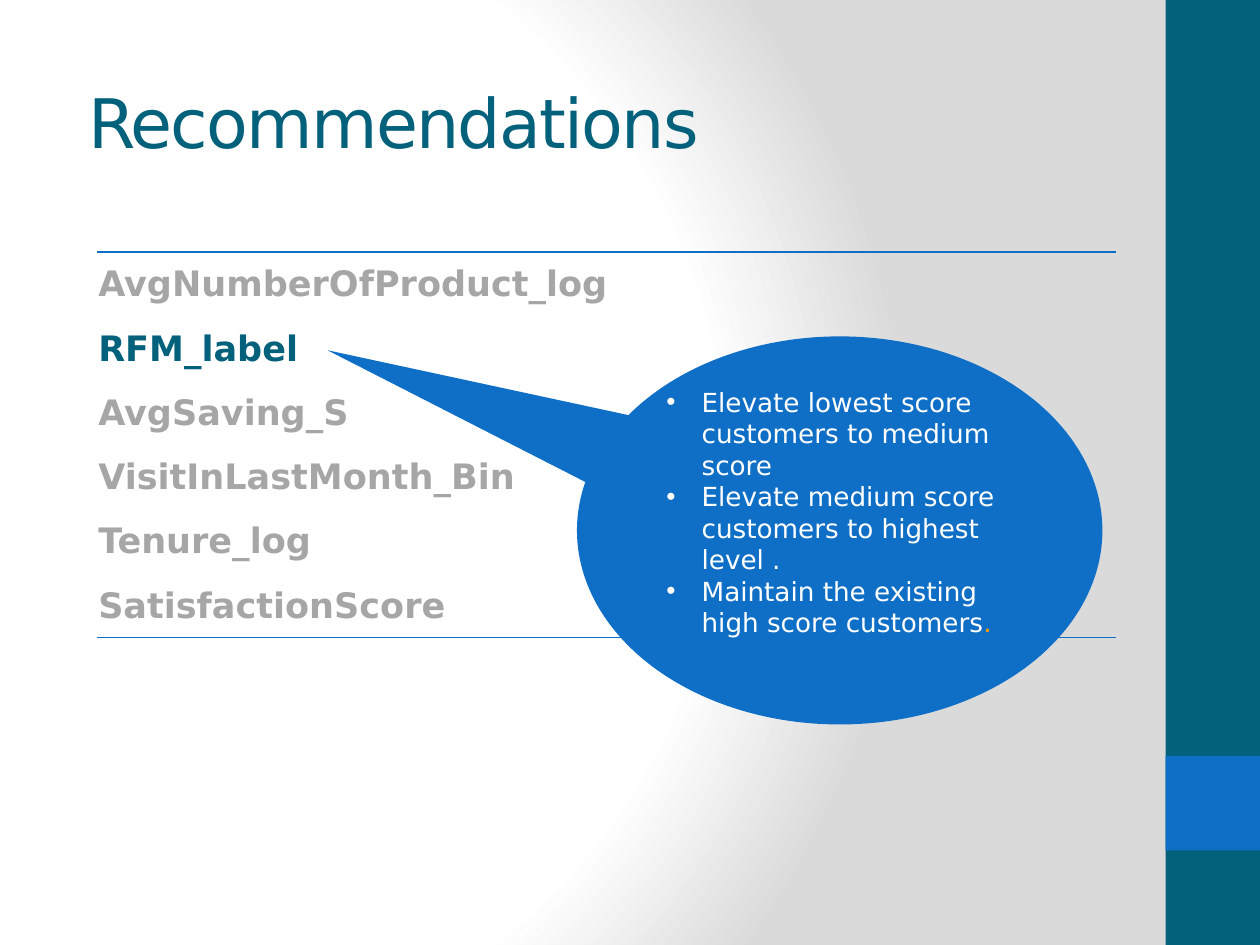
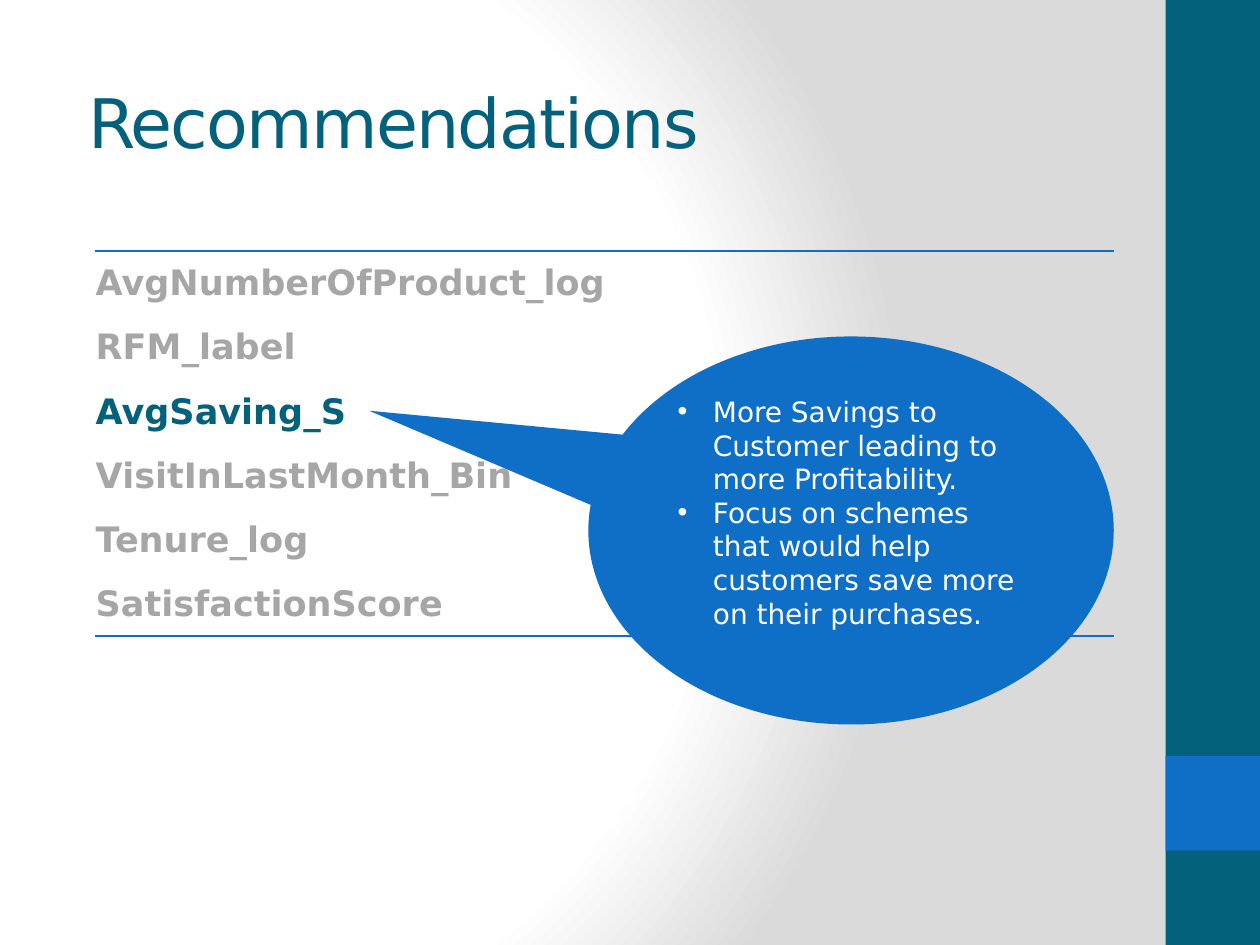
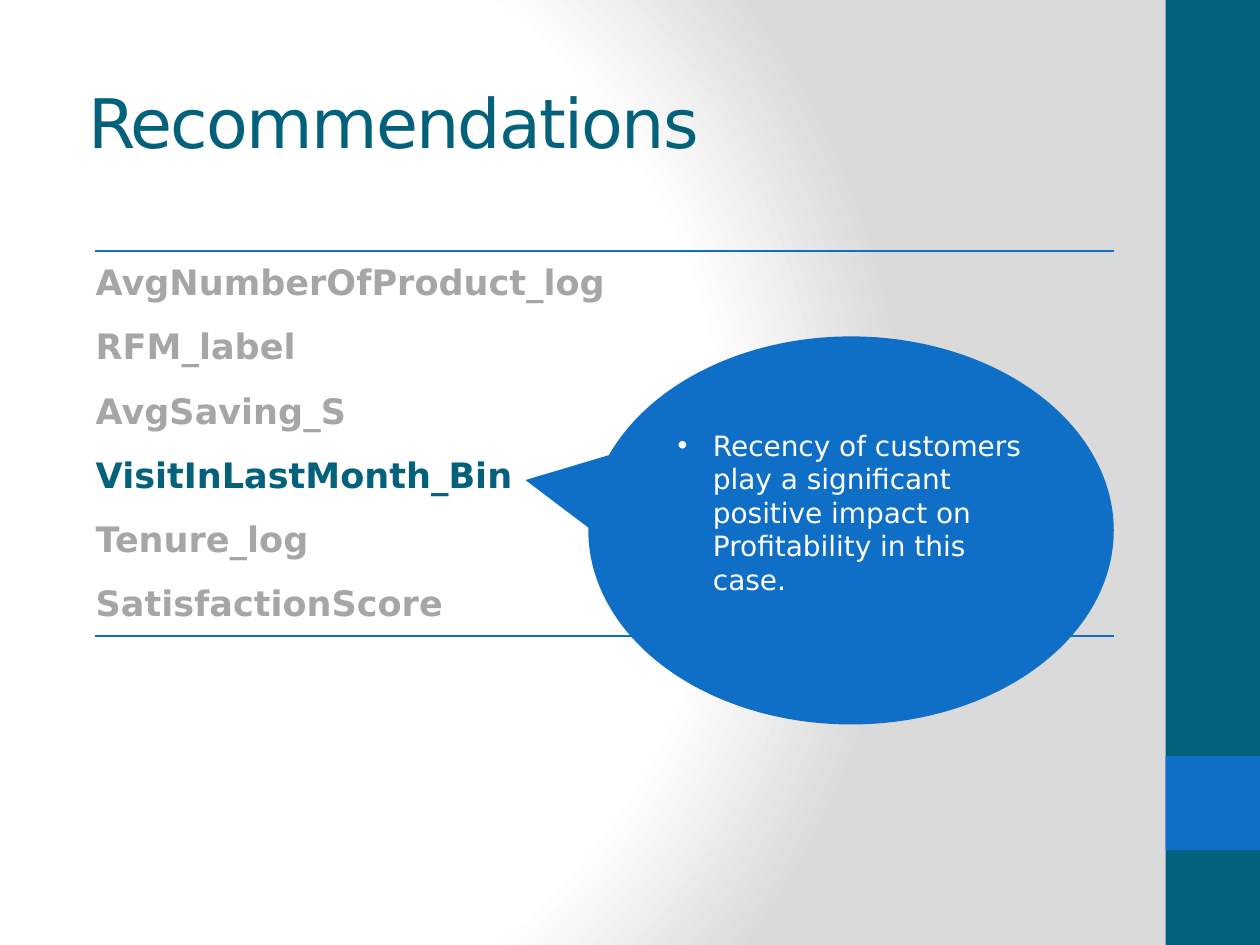
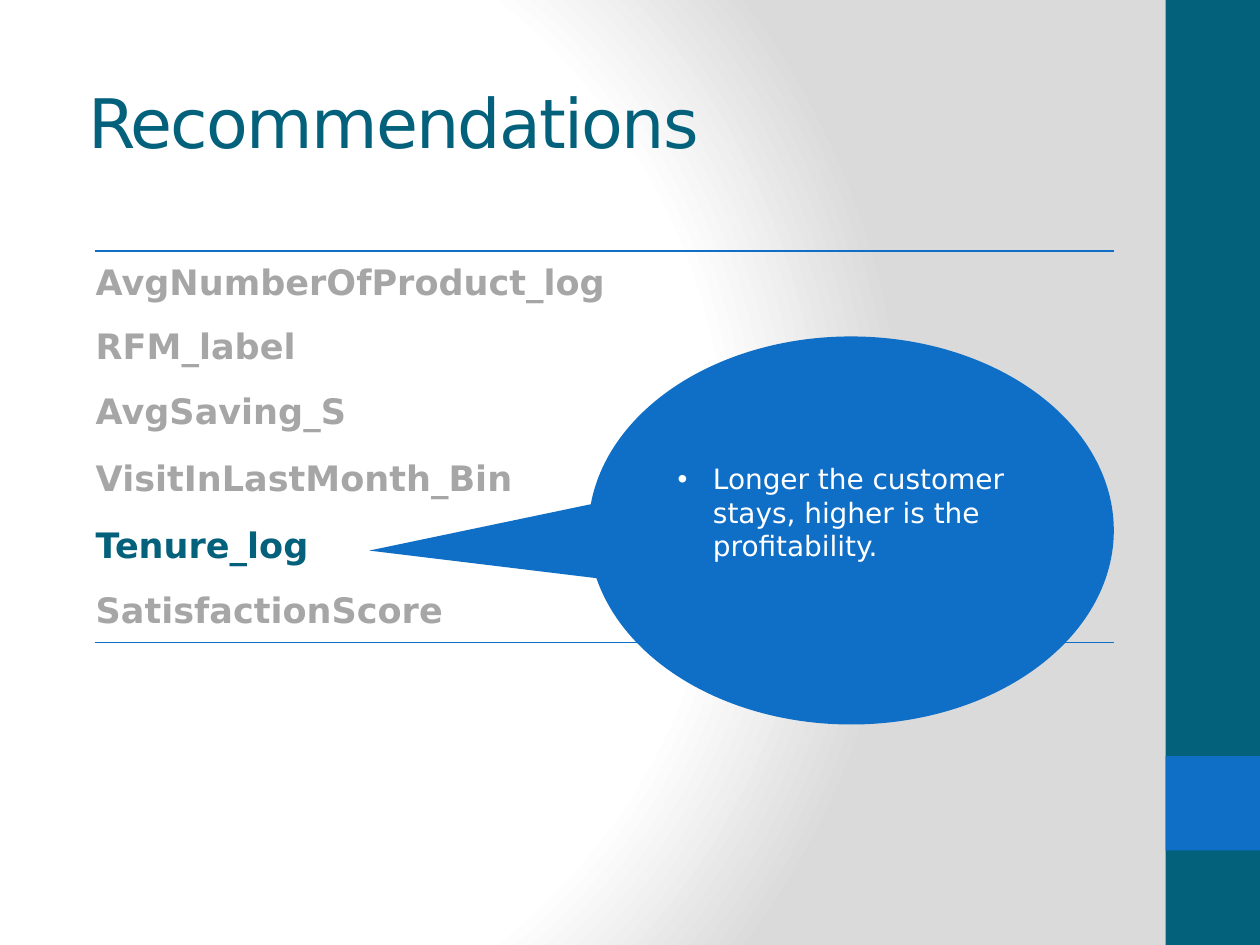
from dataclasses import dataclass

from pptx import Presentation
from pptx.dml.color import RGBColor
from pptx.enum.shapes import MSO_SHAPE
from pptx.enum.text import MSO_ANCHOR, PP_ALIGN
from pptx.oxml import parse_xml
from pptx.oxml.ns import nsdecls, qn
from pptx.util import Inches, Pt

# Content
TITLE = "Recommendations"
FACTORS = [
    "AvgNumberOfProduct_log",
    "RFM_label",
    "AvgSaving_S",
    "VisitInLastMonth_Bin",
    "Tenure_log",
    "SatisfactionScore",
]
# A bullet is a list of (text, colour name) runs; tip is where the callout points
RECOMMENDATIONS = [
    {
        "factor": "RFM_label",
        "bullets": [
            [("Elevate lowest score customers to medium score", "white")],
            [("Elevate medium score customers to highest level .", "white")],
            [("Maintain the existing high score customers", "white"), (".", "orange")],
        ],
        "size": 15, "table_at": (0.77, 2), "callout_left": 4.58, "tip": (2.6, 2.78),
    },
    {
        "factor": "AvgSaving_S",
        "bullets": [
            [("More Savings to Customer leading to more Profitability.", "white")],
            [("Focus on schemes that would help customers save more on their purchases.", "white")],
        ],
        "tip": (2.93, 3.26),
    },
    {
        "factor": "VisitInLastMonth_Bin",
        "bullets": [
            [("Recency of customers play a significant positive impact on "
              "Profitability in this case.", "white")],
        ],
        "tip": (4.17, 3.81),
    },
    {
        "factor": "Tenure_log",
        "bullets": [
            [("Longer the customer stays, higher is the profitability.", "white")],
        ],
        "tip": (2.93, 4.37), "row_heights": {"VisitInLastMonth_Bin": 0.56},
    },
]
DEFAULTS = {"size": 16, "table_at": (0.75, 1.99), "callout_left": 4.67, "row_heights": {}}


@dataclass(frozen=True)
class Theme:
    font: str = "DejaVu Sans"
    teal: str = "04617B"
    blue: str = "0F6FC6"
    gray: str = "A6A6A6"
    white: str = "FFFFFF"
    shade: str = "DADADA"
    orange: str = "FF9900"
    title_size: int = 39
    factor_size: int = 20

    def color(self, name):
        return RGBColor.from_string(getattr(self, name))


THEME = Theme()
SLIDE_WIDTH, SLIDE_HEIGHT = 10, 7.5
BAND_WIDTH = 0.75
COLUMN_WIDTHS = (6.89, 1.2)
ROW_HEIGHT = 0.51
CALLOUT_TOP, CALLOUT_WIDTH, CALLOUT_HEIGHT = 2.67, 4.17, 3.08
BULLET_INDENT = 0.28


def style_font(font, size, color):
    font.name = THEME.font
    font.size = Pt(size)
    font.color.rgb = THEME.color(color)


def set_background(master):
    """Give every slide the circular white to grey gradient."""
    stops = "".join(
        f'<a:gs pos="{percent * 1000}"><a:srgbClr val="{color}"/></a:gs>'
        for percent, color in ((0, THEME.white), (75, THEME.white), (100, THEME.shade))
    )
    common = master.element.find(qn("p:cSld"))
    for background in common.findall(qn("p:bg")):
        common.remove(background)
    common.insert(0, parse_xml(
        f'<p:bg {nsdecls("p", "a")}><p:bgPr><a:gradFill rotWithShape="1">'
        f'<a:gsLst>{stops}</a:gsLst><a:path path="circle">'
        '<a:fillToRect l="20000" t="50000" r="100000" b="50000"/></a:path>'
        '</a:gradFill><a:effectLst/></p:bgPr></p:bg>'
    ))


def add_filled_shape(slide, kind, left, top, width, height, color):
    shape = slide.shapes.add_shape(
        kind, Inches(left), Inches(top), Inches(width), Inches(height))
    shape.shadow.inherit = False
    shape.fill.solid()
    shape.fill.fore_color.rgb = THEME.color(color)
    shape.line.fill.background()
    return shape


def add_bands(slide):
    left = SLIDE_WIDTH - BAND_WIDTH
    for top, height, color in ((0, SLIDE_HEIGHT, "teal"), (6, BAND_WIDTH, "blue")):
        add_filled_shape(slide, MSO_SHAPE.RECTANGLE, left, top, BAND_WIDTH, height, color)


def add_title(slide):
    box = slide.shapes.add_textbox(Inches(0.6), Inches(0.5), Inches(8.62), Inches(0.93))
    frame = box.text_frame
    frame.word_wrap = True
    frame.vertical_anchor = MSO_ANCHOR.MIDDLE
    paragraph = frame.paragraphs[0]
    run = paragraph.add_run()
    run.text = TITLE
    style_font(run.font, THEME.title_size, "teal")
    run.font._element.set("spc", "-100")


def set_borders(cell, ruled_sides):
    """Rule the named sides (L, R, T, B) in blue and clear the others."""
    properties = cell._tc.get_or_add_tcPr()
    for position, side in enumerate("LRTB"):
        fill = (f'<a:solidFill><a:srgbClr val="{THEME.blue}"/></a:solidFill>'
                if side in ruled_sides else "<a:noFill/>")
        properties.insert(position, parse_xml(
            f'<a:ln{side} {nsdecls("a")} w="{Pt(1)}">{fill}</a:ln{side}>'))


def add_factor_table(slide, recommendation):
    left, top = recommendation["table_at"]
    heights = [recommendation["row_heights"].get(name, ROW_HEIGHT) for name in FACTORS]
    table = slide.shapes.add_table(
        len(FACTORS), len(COLUMN_WIDTHS), Inches(left), Inches(top),
        Inches(sum(COLUMN_WIDTHS)), Inches(sum(heights))).table
    table.first_row = table.horz_banding = False
    for column, width in zip(table.columns, COLUMN_WIDTHS):
        column.width = Inches(width)

    for index, (name, height) in enumerate(zip(FACTORS, heights)):
        table.rows[index].height = Inches(height)
        ruled_sides = {0: "T", len(FACTORS) - 1: "B"}.get(index, "")
        for cell in table.rows[index].cells:
            cell.fill.background()
            set_borders(cell, ruled_sides)
        cell = table.cell(index, 0)
        cell.text = name
        cell.vertical_anchor = MSO_ANCHOR.MIDDLE
        cell.margin_left = cell.margin_right = cell.margin_top = Inches(0.01)
        cell.margin_bottom = 0
        font = cell.text_frame.paragraphs[0].font
        style_font(font, THEME.factor_size,
                   "teal" if name == recommendation["factor"] else "gray")
        font.bold = True


def make_bullet(paragraph):
    paragraph.alignment = PP_ALIGN.LEFT
    properties = paragraph._p.get_or_add_pPr()
    properties.set("marL", str(Inches(BULLET_INDENT)))
    properties.set("indent", str(-Inches(BULLET_INDENT)))
    properties.append(parse_xml(f'<a:buFont {nsdecls("a")} typeface="Arial"/>'))
    properties.append(parse_xml(f'<a:buChar {nsdecls("a")} char="•"/>'))


def add_callout(slide, recommendation):
    left = recommendation["callout_left"]
    callout = add_filled_shape(slide, MSO_SHAPE.OVAL_CALLOUT, left, CALLOUT_TOP,
                               CALLOUT_WIDTH, CALLOUT_HEIGHT, "blue")
    # The tip is measured from the centre, as a share of the size
    tip_x, tip_y = recommendation["tip"]
    callout.adjustments[0] = (tip_x - left) / CALLOUT_WIDTH - 0.5
    callout.adjustments[1] = (tip_y - CALLOUT_TOP) / CALLOUT_HEIGHT - 0.5

    frame = callout.text_frame
    frame.word_wrap = True
    frame.vertical_anchor = MSO_ANCHOR.MIDDLE
    frame.margin_bottom = Inches(0.34)  # lifts the text above the centre
    for index, runs in enumerate(recommendation["bullets"]):
        paragraph = frame.add_paragraph() if index else frame.paragraphs[0]
        make_bullet(paragraph)
        for text, color in runs:
            run = paragraph.add_run()
            run.text = text
            style_font(run.font, recommendation["size"], color)


def main():
    presentation = Presentation()
    presentation.slide_width = Inches(SLIDE_WIDTH)
    presentation.slide_height = Inches(SLIDE_HEIGHT)
    set_background(presentation.slide_master)
    blank_layout = presentation.slide_layouts[6]
    for entry in RECOMMENDATIONS:
        recommendation = {**DEFAULTS, **entry}
        slide = presentation.slides.add_slide(blank_layout)
        add_bands(slide)
        add_factor_table(slide, recommendation)
        add_title(slide)
        add_callout(slide, recommendation)
    presentation.save("out.pptx")


if __name__ == "__main__":
    main()
